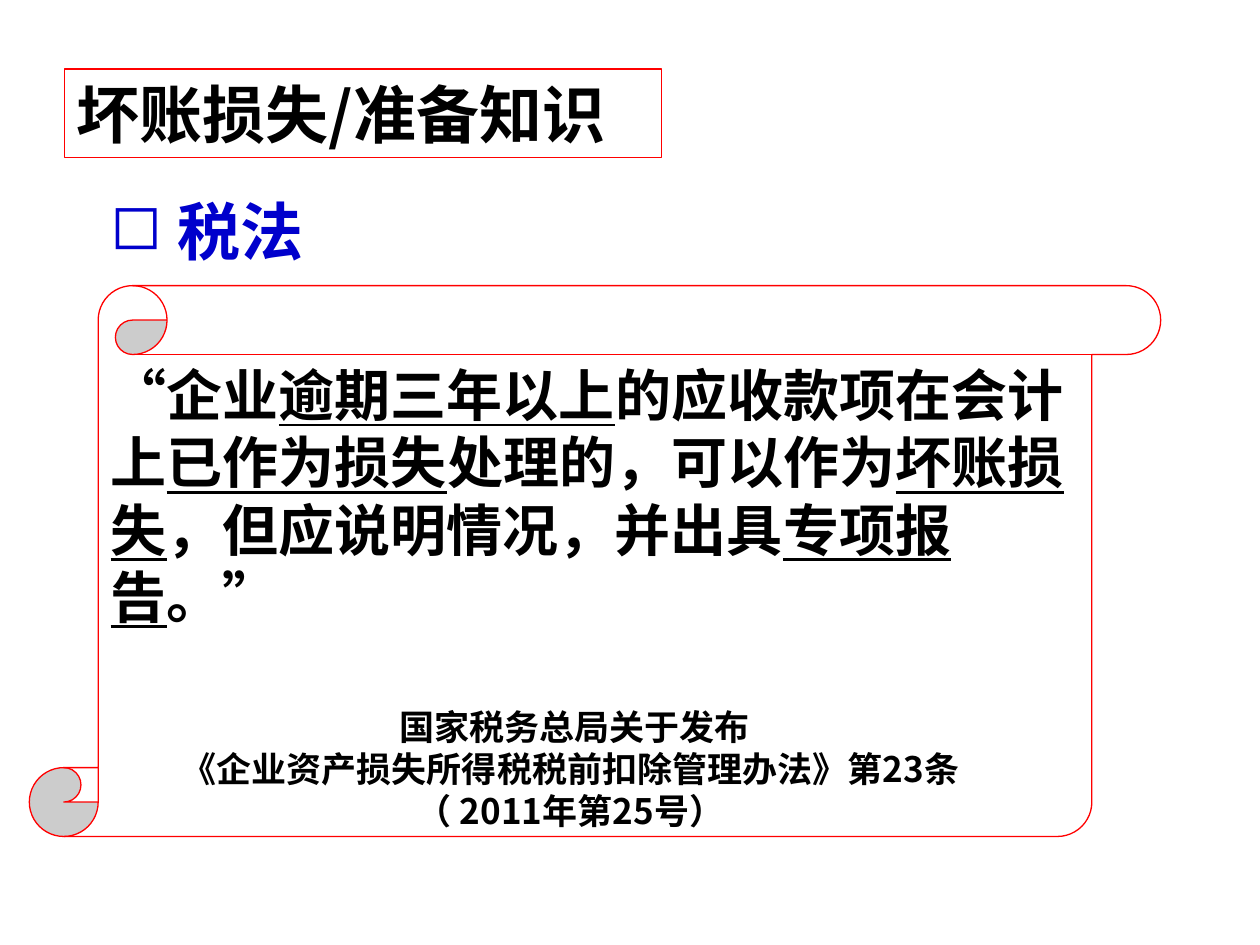
"""Build a slide that quotes the tax rule on bad debt losses."""
from lxml import etree
from pptx import Presentation
from pptx.dml.color import RGBColor
from pptx.enum.shapes import MSO_SHAPE
from pptx.enum.text import MSO_ANCHOR, MSO_AUTO_SIZE, PP_ALIGN
from pptx.oxml.ns import qn
from pptx.util import Pt

RECT = MSO_SHAPE.RECTANGLE
SCROLL = MSO_SHAPE.VERTICAL_SCROLL
TOP = MSO_ANCHOR.TOP
GROW = MSO_AUTO_SIZE.SHAPE_TO_FIT_TEXT
LEFT, CENTER = PP_ALIGN.LEFT, PP_ALIGN.CENTER
SANS, SERIF = "Noto Sans CJK SC", "Times New Roman"
BLACK, WHITE, RED, BLUE = "000000", "FFFFFF", "FF0000", "0000CC"


def color(code):
    return RGBColor.from_string(code)


class Deck:
    def __init__(self):
        self.prs = Presentation()
        self.prs.slide_width, self.prs.slide_height = Pt(720), Pt(540)
        self.slide = self.prs.slides.add_slide(self.prs.slide_layouts[6])

    def shape(self, kind, box, fill=None):
        item = self.slide.shapes.add_shape(kind, *map(Pt, box))
        item.shadow.inherit = False
        if fill:
            item.fill.solid()
            item.fill.fore_color.rgb = color(fill)
        else:
            item.fill.background()
        item.line.color.rgb = color(RED)
        item.line.width = Pt(0.75)
        return item

    def box(self, box):
        return self.slide.shapes.add_textbox(*map(Pt, box))

    def label(self, item, lines, size, wrap=True, grow=True, align=LEFT,
              face=SANS, ink=BLACK, mark=None):
        frame = item.text_frame
        frame.word_wrap = wrap
        frame.vertical_anchor = TOP
        if grow:
            frame.auto_size = GROW
        for num, parts in enumerate(lines):
            para = frame.add_paragraph() if num else frame.paragraphs[0]
            para.alignment = align
            if mark:
                self.bullet(para, mark, ink)
            for spot, part in enumerate(parts):
                run = para.add_run()
                run.text = part
                if spot % 2:
                    run.font.underline = True
            font = para.font
            font.size, font.bold, font.name = Pt(size), True, face
            font.color.rgb = color(ink)
            props = para._p.pPr.find(qn("a:defRPr"))
            etree.SubElement(props, qn("a:ea"), typeface=SANS)

    def bullet(self, para, mark, ink):
        props = para._p.get_or_add_pPr()
        tint = etree.SubElement(props, qn("a:buClr"))
        etree.SubElement(tint, qn("a:srgbClr"), val=ink)
        etree.SubElement(props, qn("a:buChar"), char=mark)


def main():
    deck = Deck()
    title = deck.shape(RECT, (36.75, 39.5, 341.5, 50.5))
    deck.label(title, [["坏账损失/准备知识"]], 36, wrap=False)

    head = deck.box((56.25, 106.5, 129, 50.5))
    deck.label(head, [[" 税法"]], 36, wrap=False, face=SERIF, ink=BLUE, mark="◻")

    scroll = deck.shape(SCROLL, (16.75, 163.25, 646.5, 314.75), WHITE)
    quote = ["“企业", "逾期三年以上", "的应收款项在会计上", "已作为损失",
             "处理的，可以作为", "坏账损失", "，但应说明情况，并出具",
             "专项报告", "。”"]
    deck.label(scroll, [quote], 32, grow=False)

    credit = [[" 国家税务总局关于发布"],
              ["《企业资产损失所得税税前扣除管理办法》第23条"],
              ["（ 2011年第25号）"]]
    deck.label(deck.box((28, 399.5, 596, 79)), credit, 20, align=CENTER)
    deck.prs.save("out.pptx")


if __name__ == "__main__":
    main()
